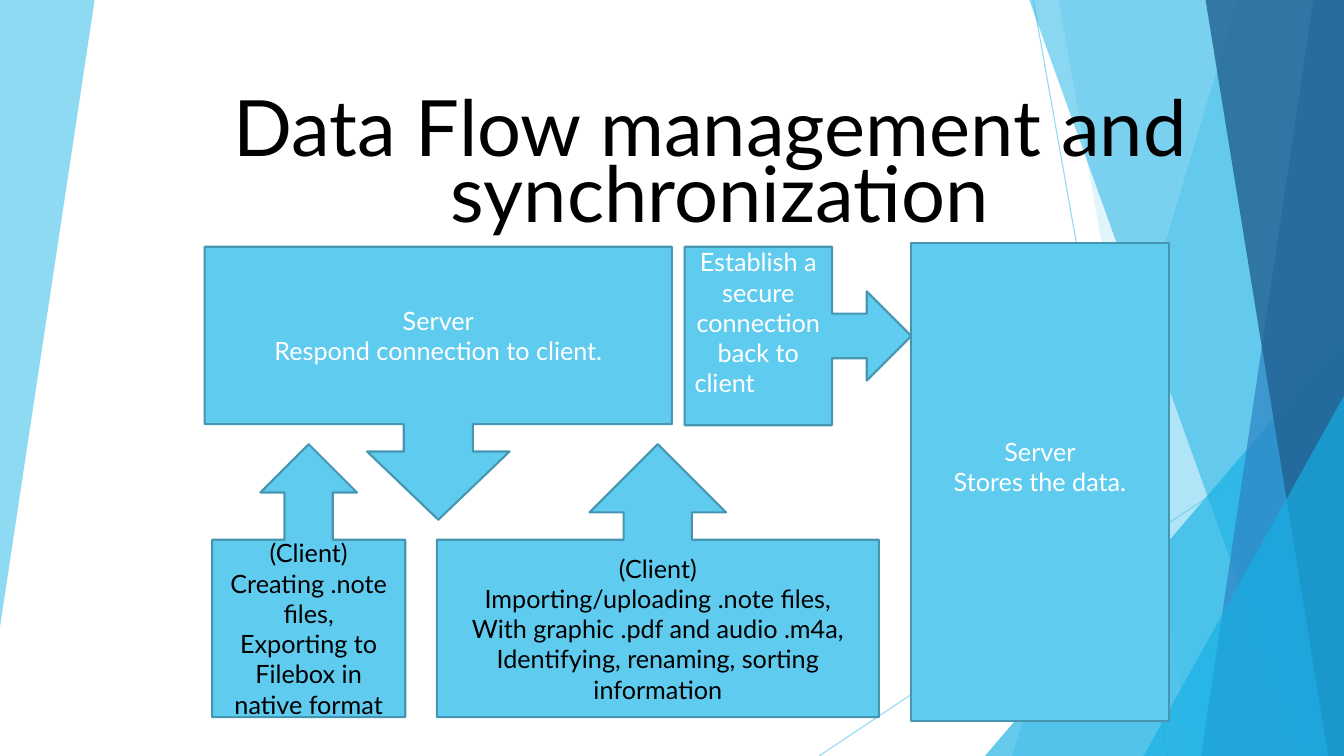
"""Build the data flow management and synchronization slide."""
from lxml import etree
from pptx import Presentation
from pptx.dml.color import RGBColor
from pptx.enum.shapes import MSO_CONNECTOR, MSO_SHAPE
from pptx.enum.text import MSO_ANCHOR, PP_ALIGN
from pptx.oxml.ns import qn
from pptx.util import Pt

PX = 9525
W, H = 1280, 720
STRAIGHT = MSO_CONNECTOR.STRAIGHT
TRIANGLE, RECTANGLE = MSO_SHAPE.ISOSCELES_TRIANGLE, MSO_SHAPE.RECTANGLE
UP, DOWN = MSO_SHAPE.UP_ARROW_CALLOUT, MSO_SHAPE.DOWN_ARROW_CALLOUT
RIGHT = MSO_SHAPE.RIGHT_ARROW_CALLOUT
TOP, MIDDLE, BOTTOM = MSO_ANCHOR.TOP, MSO_ANCHOR.MIDDLE, MSO_ANCHOR.BOTTOM
LEFT, CENTER = PP_ALIGN.LEFT, PP_ALIGN.CENTER

THEME = {
    "font": "Lato",
    "title_size": 55.5,
    "body_size": 18,
    "sky": RGBColor.from_string("5FCBEF"),
    "cyan": RGBColor.from_string("17B0E4"),
    "blue": RGBColor.from_string("2E83C3"),
    "navy": RGBColor.from_string("226292"),
    "outline": RGBColor.from_string("4696B1"),
    "dark": RGBColor.from_string("000000"),
    "light": RGBColor.from_string("FFFFFF"),
}


def set_text(sp, text, size=THEME["body_size"], color="dark", anchor=MIDDLE,
             last_align=CENTER, spacing=None, top=5, bottom=5):
    tf = sp.text_frame
    tf.word_wrap = True
    tf.vertical_anchor = anchor
    tf.margin_top, tf.margin_bottom = top * PX, bottom * PX
    lines = text.split("\n")
    for i, line in enumerate(lines):
        p = tf.paragraphs[0] if i == 0 else tf.add_paragraph()
        p.alignment = last_align if i == len(lines) - 1 else CENTER
        p.line_spacing = spacing
        r = p.add_run()
        r.text = line
        r.font.name = THEME["font"]
        r.font.size = Pt(size)
        r.font.color.rgb = THEME[color]


def set_opacity(sp, percent):
    for clr in sp._element.iter(qn("a:srgbClr")):
        etree.SubElement(clr, qn("a:alpha"), val=str(percent * 1000))


prs = Presentation()
prs.slide_width, prs.slide_height = W * PX, H * PX
s = prs.slides.add_slide(prs.slide_layouts[6])

left_wedge = [(0, 0), (90, -1), (90, 1), (0, 597)]
sp = s.shapes.build_freeform(*left_wedge[0], scale=PX)
sp.add_line_segments(left_wedge[1:])
wedge = sp.convert_to_shape()
wedge.shadow.inherit = False
wedge.fill.solid()
wedge.fill.fore_color.rgb = THEME["sky"]
wedge.line.fill.background()
set_opacity(wedge, 70)

for x1, y1, x2, y2 in [(984, 0, 1112, H), (W, 387, 780, H)]:
    line = s.shapes.add_connector(STRAIGHT, x1 * PX, y1 * PX, x2 * PX, y2 * PX)
    line.line.color.rgb = THEME["sky"]
    line.line.width = Pt(0.75)
    etree.SubElement(line._element.spPr, qn("a:effectLst"))
    set_opacity(line, 70)

right_facets = [
    ("panel", 1179, 964, "sky", 36),
    ("panel", 1008, 1136, "sky", 20),
    ("triangle", 938, 320, "cyan", 66),
    ("panel", 980, 1239, "cyan", 50),
    ("panel", 1251, 1144, "blue", 70),
    ("panel", 1148, 1265, "navy", 80),
    ("triangle", 1089, 377, "cyan", 66),
]
for kind, a, b, color, opacity in right_facets:
    if kind == "panel":
        outline = s.shapes.build_freeform(a, -1, scale=PX)
        outline.add_line_segments([(W, -1), (W, H), (b, H)])
        sp = outline.convert_to_shape()
    else:
        sp = s.shapes.add_shape(TRIANGLE, a * PX, b * PX, (W - a) * PX, (H - b) * PX)
        sp.adjustments[0] = 1
    sp.shadow.inherit = False
    sp.fill.solid()
    sp.fill.fore_color.rgb = THEME[color]
    sp.line.fill.background()
    set_opacity(sp, opacity)

title = s.shapes.add_textbox(90 * PX, 90 * PX, 1192 * PX, 139 * PX)
set_text(title, "Data Flow management and \nsynchronization",
         size=THEME["title_size"], anchor=BOTTOM, spacing=0.7)

flow_boxes = [
    (UP, (202, 423, 184, 260), [],
     "(Client)\nCreating .note files,\nExporting to Filebox in native format", {}),
    (DOWN, (195, 235, 445, 260), [0.253, 0.261, 0.25, 0.65],
     "Server\nRespond connection to client.", {"color": "light"}),
    (RIGHT, (652, 235, 216, 170), [],
     "Establish a secure connection back to\nclient",
     {"color": "light", "anchor": TOP, "last_align": LEFT, "top": 0}),
    (UP, (416, 423, 421, 260), [],
     "(Client)\nImporting/uploading .note files,\nWith graphic .pdf and audio .m4a,\n"
     "Identifying, renaming, sorting information", {}),
    (RECTANGLE, (868, 231, 245, 456), [],
     "Server\nStores the data.", {"color": "light", "bottom": 34}),
]
for shape, box, adjustments, text, style in flow_boxes:
    sp = s.shapes.add_shape(shape, *(v * PX for v in box))
    for i, value in enumerate(adjustments):
        sp.adjustments[i] = value
    sp.shadow.inherit = False
    sp.fill.solid()
    sp.fill.fore_color.rgb = THEME["sky"]
    sp.line.color.rgb = THEME["outline"]
    sp.line.width = Pt(1.5)
    set_text(sp, text, **style)

prs.save("out.pptx")
